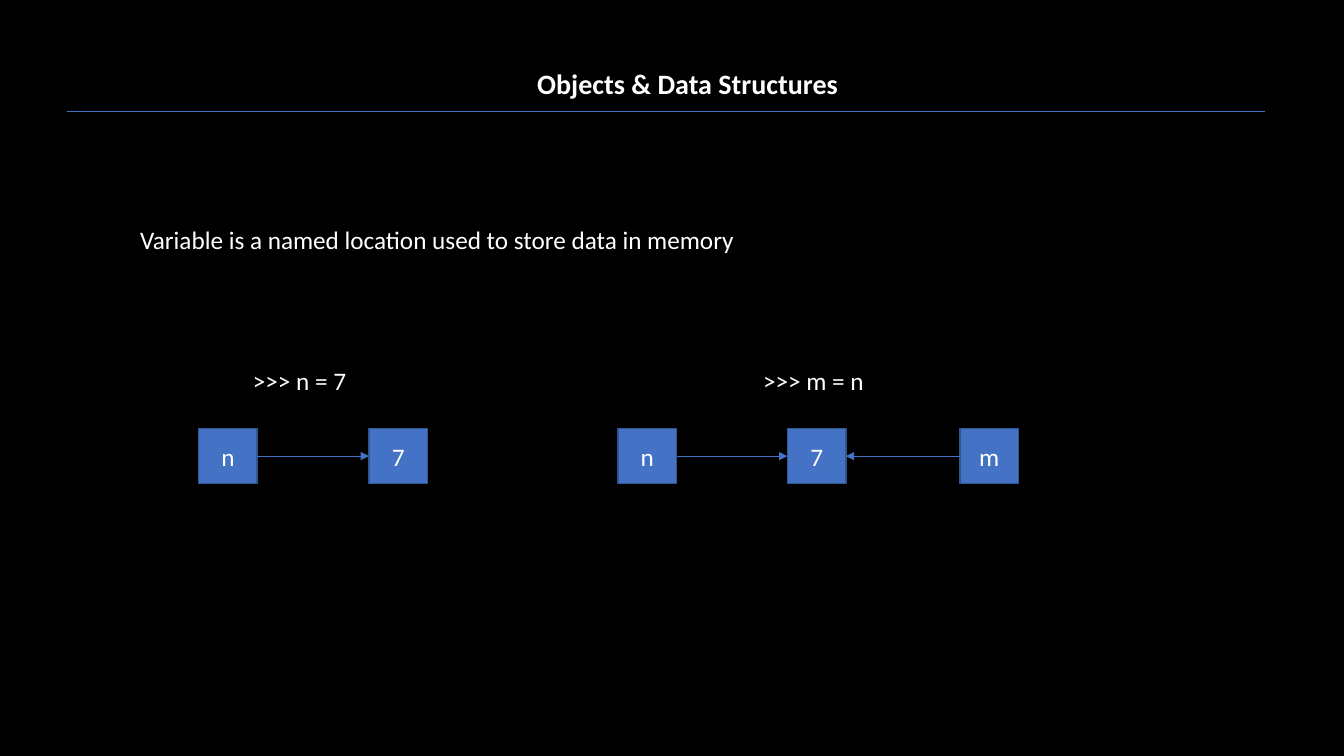
from dataclasses import dataclass

from lxml.etree import SubElement
from pptx import Presentation
from pptx.dml.color import RGBColor
from pptx.enum.shapes import MSO_CONNECTOR, MSO_SHAPE
from pptx.enum.text import MSO_ANCHOR, MSO_AUTO_SIZE, PP_ALIGN
from pptx.oxml.ns import qn
from pptx.shapes.autoshape import Shape
from pptx.shapes.connector import Connector
from pptx.text.text import TextFrame
from pptx.util import Inches, Pt

COLORS = {"back": "000000", "text": "FFFFFF", "blue": "4472C4", "edge": "325491"}
BODY = {"name": "Calibri", "size": Pt(18), "bold": False}
TITLE = {**BODY, "size": Pt(20), "bold": True}
BOX_TOP, BOX_WIDE, BOX_HIGH = 4.25, 0.58, 0.55
LEFT_SITE, RIGHT_SITE = 1, 3


@dataclass
class Label:
    """A text box: wording, place in inches, font format and wrapping."""
    text: str
    left: float
    top: float
    wide: float
    high: float = 0.4
    form: dict = None
    wrap: bool = False


@dataclass
class Graph:
    """Name boxes, as (text, left), and arrows, as (from, to) box numbers."""
    boxes: list
    links: list


LABELS = [
    Label("Objects & Data Structures", 5.23, 0.61, 3.21, 0.44, TITLE),
    Label("Variable is a named location used to store data in memory",
          1.29, 2.18, 8.11, wrap=True),
    Label(">>> n = 7", 2.41, 3.58, 1.14),
    Label(">>> m = n ", 7.47, 3.58, 1.27),
]
GRAPHS = [
    Graph([("n", 1.97), ("7", 3.66)], [(0, 1)]),
    Graph([("n", 6.13), ("7", 7.81), ("m", 9.52)], [(0, 1), (2, 1)]),
]


def color(name: str) -> RGBColor:
    """Look up a named colour."""
    return RGBColor.from_string(COLORS[name])


def write(frame: TextFrame, text: str, form: dict) -> None:
    """Put one formatted run into a text frame."""
    run = frame.paragraphs[0].add_run()
    run.text = text
    for key, value in form.items():
        setattr(run.font, key, value)
    run.font.color.rgb = color("text")


def add_label(label: Label) -> None:
    """Draw a text box that grows with its text."""
    place = map(Inches, (label.left, label.top, label.wide, label.high))
    frame = slide.shapes.add_textbox(*place).text_frame
    frame.word_wrap = label.wrap
    frame.auto_size = MSO_AUTO_SIZE.SHAPE_TO_FIT_TEXT
    write(frame, label.text, label.form or BODY)


def add_box(text: str, left: float) -> Shape:
    """Draw a blue box with centred text."""
    place = map(Inches, (left, BOX_TOP, BOX_WIDE, BOX_HIGH))
    box = slide.shapes.add_shape(MSO_SHAPE.RECTANGLE, *place)
    box.shadow.inherit = False
    box.fill.solid()
    box.fill.fore_color.rgb = color("blue")
    box.line.color.rgb = color("edge")
    box.line.width = Pt(1)
    frame = box.text_frame
    frame.vertical_anchor = MSO_ANCHOR.MIDDLE
    frame.paragraphs[0].alignment = PP_ALIGN.CENTER
    write(frame, text, BODY)
    return box


def add_line(left: float, right: float, top: float) -> Connector:
    """Draw a thin level line without a shadow."""
    ends = map(Inches, (left, top, right, top))
    line = slide.shapes.add_connector(MSO_CONNECTOR.STRAIGHT, *ends)
    line.line.color.rgb = color("blue")
    line.line.width = Pt(0.5)
    SubElement(line._element.spPr, qn("a:effectLst"))
    return line


def add_arrow(start: Shape, end: Shape) -> None:
    """Join the facing sides of two boxes with an arrow."""
    sites = (RIGHT_SITE, LEFT_SITE)
    if start.left > end.left:
        sites = sites[::-1]
    arrow = add_line(start.left.inches, end.left.inches, BOX_TOP)
    arrow.begin_connect(start, sites[0])
    arrow.end_connect(end, sites[1])
    SubElement(arrow.line._get_or_add_ln(), qn("a:tailEnd"), type="triangle")


def add_graph(graph: Graph) -> None:
    """Draw the boxes of a graph and the arrows between them."""
    boxes = [add_box(*box) for box in graph.boxes]
    for start, end in graph.links:
        add_arrow(boxes[start], boxes[end])


deck = Presentation()
deck.slide_width, deck.slide_height = Inches(13.33), Inches(7.5)
slide = deck.slides.add_slide(deck.slide_layouts[6])
slide.background.fill.solid()
slide.background.fill.fore_color.rgb = color("back")

add_line(0.66, 12.55, 1.1)
for label in LABELS:
    add_label(label)
for graph in GRAPHS:
    add_graph(graph)

deck.save("out.pptx")
